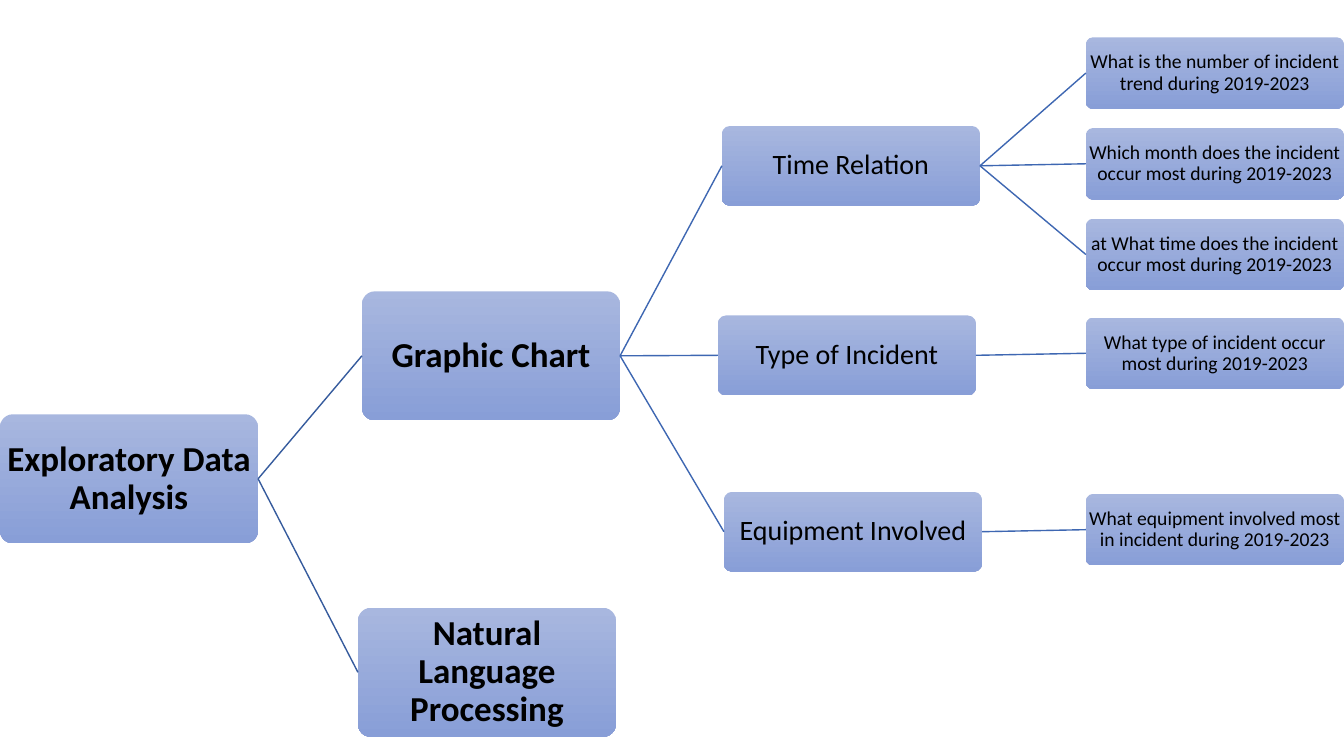
from dataclasses import dataclass

from lxml import etree
from pptx import Presentation
from pptx.dml.color import RGBColor
from pptx.enum.shapes import MSO_CONNECTOR, MSO_SHAPE
from pptx.enum.text import MSO_ANCHOR, PP_ALIGN
from pptx.oxml.ns import qn
from pptx.util import Inches, Pt

COLORS = {
    "node_top": "A8B7DF",
    "node_bottom": "889ED7",
    "text": "000000",
    "root_link": "365B9D",
    "link": "3E67B2",
}
FONT = "Calibri"
SLIDE_WIDTH, SLIDE_HEIGHT = 13.33, 7.5
NODE_WIDTH = 2.56
LEFT, RIGHT = 1, 3  # connection sites of a rounded rectangle


@dataclass
class Level:
    height: float
    size: int
    bold: bool
    inset: float


HEADING = Level(1.28, 25, True, 0.02)
TOPIC = Level(0.79, 20, False, 0.01)
QUESTION = Level(0.71, 14, False, 0.01)
LEVELS = [HEADING, HEADING, TOPIC, QUESTION]

# Each node: text, left, top, children
QUESTION_LEFT = SLIDE_WIDTH - NODE_WIDTH
TREE = ("Exploratory Data Analysis", 0, 4.11, [
    ("Graphic Chart", 3.59, 2.89, [
        ("Time Relation", 7.16, 1.25, [
            ("What is the number of incident trend during 2019-2023",
             QUESTION_LEFT, 0.37, []),
            ("Which month does the incident occur most during 2019-2023",
             QUESTION_LEFT, 1.27, []),
            ("at What time does the incident occur most during 2019-2023",
             QUESTION_LEFT, 2.17, []),
        ]),
        ("Type of Incident", 7.12, 3.13, [
            ("What type of incident occur most during 2019-2023",
             QUESTION_LEFT, 3.15, []),
        ]),
        ("Equipment Involved", 7.18, 4.88, [
            ("What equipment involved most in incident during 2019-2023",
             QUESTION_LEFT, 4.9, []),
        ]),
    ]),
    ("Natural Language Processing", 3.55, 6.03, []),
])


def rgb(name):
    return RGBColor.from_string(COLORS[name])


def add_node(page, text, left, top, level):
    box = page.shapes.add_shape(
        MSO_SHAPE.ROUNDED_RECTANGLE, Inches(left), Inches(top),
        Inches(NODE_WIDTH), Inches(level.height))
    box.adjustments[0] = 0.1
    box.shadow.inherit = False
    box.line.fill.background()

    # Vertical gradient, light at the top
    box.fill.gradient()
    box.fill.gradient_angle = 270
    for stop, name in zip(box.fill.gradient_stops, ("node_top", "node_bottom")):
        stop.color.rgb = rgb(name)

    # Centred label
    frame = box.text_frame
    frame.word_wrap = True
    frame.vertical_anchor = MSO_ANCHOR.MIDDLE
    frame.margin_left = frame.margin_right = Inches(level.inset)
    frame.margin_top = frame.margin_bottom = Inches(level.inset)
    para = frame.paragraphs[0]
    para.alignment = PP_ALIGN.CENTER
    para.line_spacing = 0.9
    span = para.add_run()
    span.text = text
    span.font.name = FONT
    span.font.size = Pt(level.size)
    span.font.bold = level.bold
    span.font.color.rgb = rgb("text")
    return box


def add_link(page, parent, child, color):
    link = page.shapes.add_connector(MSO_CONNECTOR.STRAIGHT, 0, 0, 0, 0)
    link.begin_connect(parent, RIGHT)
    link.end_connect(child, LEFT)
    link.line.color.rgb = rgb(color)
    link.line.width = Pt(1)
    etree.SubElement(link._element.spPr, qn("a:effectLst"))


def draw_tree(page, node, origin=(0, 0), depth=0):
    """Draw a node and its branches, placed from the given origin."""
    text, left, top, children = node
    box = add_node(page, text, origin[0] + left, origin[1] + top, LEVELS[depth])
    for child in children:
        child_box = draw_tree(page, child, origin, depth + 1)
        add_link(page, box, child_box, "link" if depth else "root_link")
    return box


def main():
    deck = Presentation()
    deck.slide_width = Inches(SLIDE_WIDTH)
    deck.slide_height = Inches(SLIDE_HEIGHT)
    page = deck.slides.add_slide(deck.slide_layouts[6])
    draw_tree(page, TREE)
    deck.save("out.pptx")


if __name__ == "__main__":
    main()
